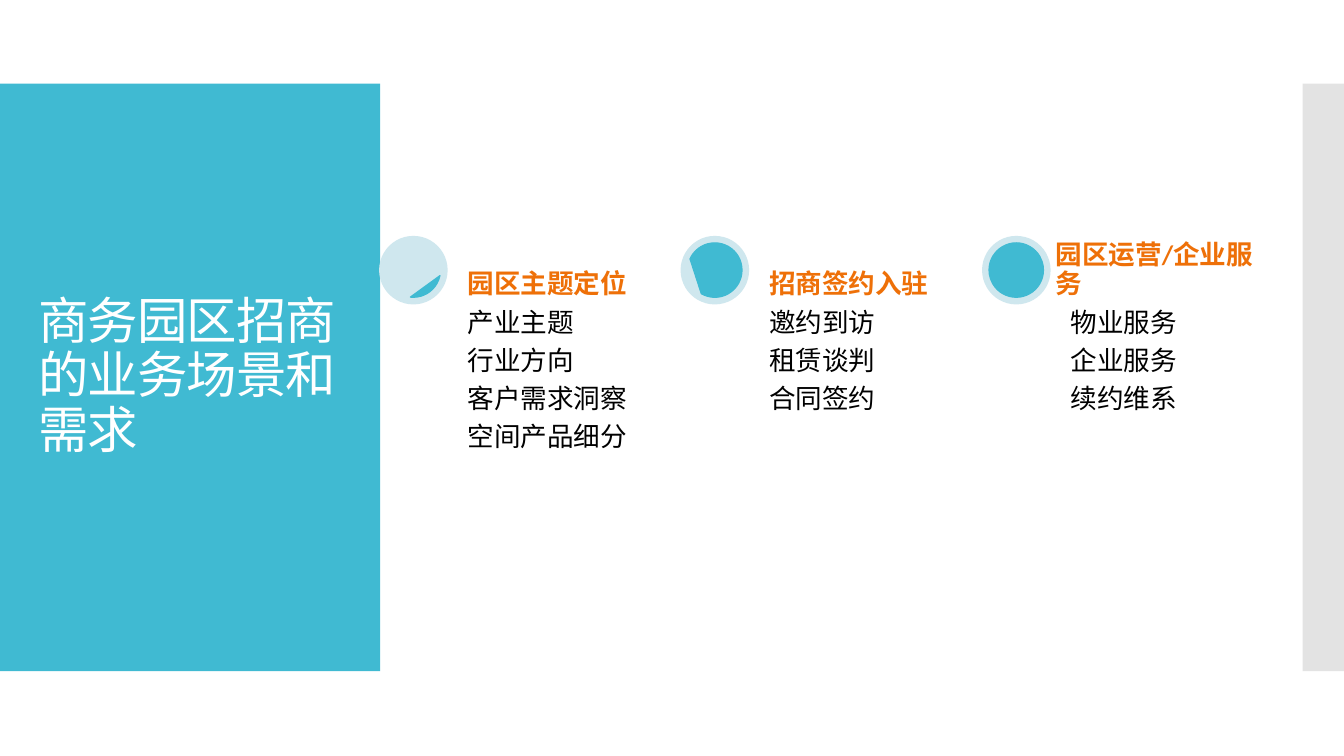
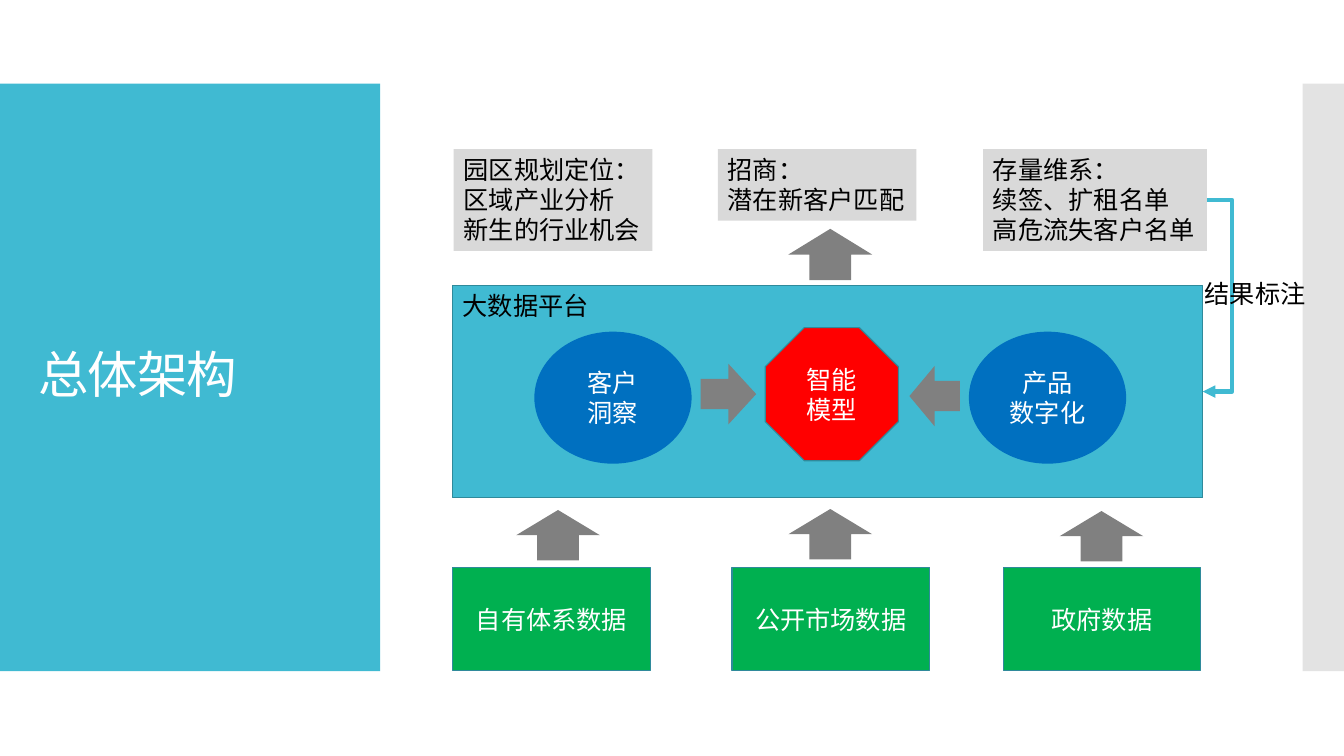
from lxml import etree
from pptx import Presentation
from pptx import util as u
from pptx.dml.color import RGBColor
from pptx.enum import shapes, text
from pptx.oxml.ns import qn

Inches, Pt = u.Inches, u.Pt
SHAPE = shapes.MSO_SHAPE
ANCHOR = text.MSO_ANCHOR
ALIGN = text.PP_ALIGN

COLORS = {
    "teal": "40BAD2", "edge": "2F8A9B", "band": "C8C8C8", "pale": "CFE7EE",
    "orange": "EE7008", "blue": "0070C0", "green": "00B050", "red": "FF0000",
    "arrow": "808080", "panel": "D9D9D9", "white": "FFFFFF", "black": "000000",
}
FONT = "Calibri"

SCENE_TITLE = "商务园区招商的业务场景和需求"
STAGES = [
    {"heading": "园区主题定位", "chord": (11.68, 96.32), "shift": 0.83, "width": 2.02,
     "items": ["产业主题", "行业方向", "客户需求洞察", "空间产品细分"]},
    {"heading": "招商签约入驻", "chord": (204.32, 119.68), "shift": 0.83, "width": 2.02,
     "items": ["邀约到访", "租赁谈判", "合同签约"]},
    {"heading": "园区运营/企业服务", "chord": (162, 162), "shift": 0.68, "width": 2.3,
     "items": ["物业服务", "企业服务", "续约维系"]},
]
STAGE_LEFT, STAGE_TOP, STAGE_PITCH = 3.76, 2.34, 2.99
DIAL, DIAL_MARGIN = 0.68, 0.07

ARCH_TITLE = "总体架构"
PLATFORM = (4.49, 2.83, 7.44, 2.11)
PLATFORM_LABEL = "大数据平台"
ENGINES = [(5.3, ["客户", "洞察"]), (9.61, ["产品", "数字化"])]
MODEL = "智能模型"
SOURCES = [(4.49, "自有体系数据"), (7.26, "公开市场数据"), (9.95, "政府数据")]
OUTCOMES = [
    (4.5, 1.97, 1.01, ["园区规划定位：", "区域产业分析", "新生的行业机会"]),
    (7.12, 1.97, 0.71, ["招商：", "潜在新客户匹配"]),
    (9.75, 2.22, 1.01, ["存量维系：", "续签、扩租名单", "高危流失客户名单"]),
]
ARROWS = [
    (SHAPE.UP_ARROW, (5.12, 5.06, 0.83, 0.5)),
    (SHAPE.UP_ARROW, (7.82, 5.05, 0.83, 0.5)),
    (SHAPE.UP_ARROW, (10.51, 5.07, 0.83, 0.5)),
    (SHAPE.UP_ARROW, (7.82, 2.27, 0.83, 0.51)),
    (SHAPE.LEFT_ARROW, (9.02, 3.63, 0.5, 0.6)),
    (SHAPE.RIGHT_ARROW, (6.95, 3.61, 0.55, 0.6)),
]
FEEDBACK_LABEL = "结果标注"
FEEDBACK_REACH = 0.25


def color(name):
    return RGBColor.from_string(COLORS[name])


def write(shape, lines, size=18, ink="black", bold=False, align=ALIGN.LEFT,
          anchor=ANCHOR.TOP, wrap=True, inset=None, spacing=None, after=None):
    frame = shape.text_frame
    frame.text = "\n".join(lines)
    frame.word_wrap = wrap
    frame.vertical_anchor = anchor
    if not wrap:
        frame.auto_size = text.MSO_AUTO_SIZE.SHAPE_TO_FIT_TEXT
    if inset is not None:
        frame.margin_left = frame.margin_right = Inches(inset)
        frame.margin_top = frame.margin_bottom = Inches(inset)
    for paragraph in frame.paragraphs:
        paragraph.alignment = align
        if spacing:
            paragraph.line_spacing = spacing
        if after:
            paragraph.space_after = Pt(after)
        for run in paragraph.runs:
            run.font.name = FONT
            run.font.size = Pt(size)
            run.font.bold = bold
            run.font.color.rgb = color(ink)


def add_part(slide, kind, box, fill, line=None):
    part = slide.shapes.add_shape(kind, *map(Inches, box))
    part.shadow.inherit = False
    part.fill.solid()
    part.fill.fore_color.rgb = color(fill)
    if line:
        part.line.color.rgb = color(line)
        part.line.width = Pt(0.85)
    else:
        part.line.fill.background()
    return part


def add_label(slide, box, lines, **style):
    label = slide.shapes.add_textbox(*map(Inches, box))
    write(label, lines, **style)
    return label


def add_framed_slide(deck, title):
    slide = deck.slides.add_slide(deck.slide_layouts[6])
    add_part(slide, SHAPE.RECTANGLE, (0, 0.83, 3.77, 5.83), "teal")
    side_band = add_part(slide, SHAPE.RECTANGLE, (12.92, 0.83, 0.42, 5.83), "band")
    tint = side_band.fill._xPr.find(".//" + qn("a:srgbClr"))
    etree.SubElement(tint, qn("a:alpha"), val="50000")
    heading = add_label(slide, (0.28, 1.23, 3.22, 5.03), [title], size=36, ink="white",
                        anchor=ANCHOR.MIDDLE, spacing=0.9)
    for run in heading.text_frame.paragraphs[0].runs:
        run.font._element.set("spc", "-60")
    return slide


def add_stage(slide, index, stage):
    left = STAGE_LEFT + index * STAGE_PITCH
    add_part(slide, SHAPE.OVAL, (left, STAGE_TOP, DIAL, DIAL), "pale")
    level_size = DIAL - 2 * DIAL_MARGIN
    level = add_part(slide, SHAPE.CHORD,
                     (left + DIAL_MARGIN, STAGE_TOP + DIAL_MARGIN, level_size, level_size),
                     "teal", "teal")
    for position, degrees in enumerate(stage["chord"]):
        level.adjustments[position] = degrees * 0.6
    style = {"size": 19, "inset": 0.05, "spacing": 0.9, "after": 6.65}
    add_label(slide, (left + 0.83, STAGE_TOP + DIAL, 2.02, 2.88), stage["items"], **style)
    add_label(slide, (left + stage["shift"], STAGE_TOP, stage["width"], DIAL),
              [stage["heading"]], ink="orange", bold=True, anchor=ANCHOR.BOTTOM, **style)


def add_feedback(slide, origin, target):
    feedback = slide.shapes.add_connector(shapes.MSO_CONNECTOR.ELBOW, 0, 0, 0, 0)
    feedback.begin_connect(origin, 3)
    feedback.end_connect(target, 3)
    feedback.line.color.rgb = color("teal")
    feedback.line.width = Pt(3)
    properties = feedback._element.spPr
    etree.SubElement(feedback.line._get_or_add_ln(), qn("a:tailEnd"), type="triangle")
    etree.SubElement(properties, qn("a:effectLst"))
    geometry = properties.find(qn("a:prstGeom"))
    guides = geometry.find(qn("a:avLst"))
    if guides is None:
        guides = etree.SubElement(geometry, qn("a:avLst"))
    bend = -round(Inches(FEEDBACK_REACH) / feedback.width * 100000)
    etree.SubElement(guides, qn("a:gd"), name="adj1", fmla=f"val {bend}")


def build_scenes(deck):
    slide = add_framed_slide(deck, SCENE_TITLE)
    for index, stage in enumerate(STAGES):
        add_stage(slide, index, stage)


def build_architecture(deck):
    slide = add_framed_slide(deck, ARCH_TITLE)
    centered = {"ink": "white", "align": ALIGN.CENTER, "anchor": ANCHOR.MIDDLE}
    platform = add_part(slide, SHAPE.RECTANGLE, PLATFORM, "teal", "edge")
    for left, lines in ENGINES:
        engine = add_part(slide, SHAPE.OVAL, (left, 3.29, 1.56, 1.31), "blue")
        write(engine, lines, **centered)
    for left, name in SOURCES:
        source = add_part(slide, SHAPE.RECTANGLE, (left, 5.63, 1.96, 1.02), "green", "edge")
        write(source, [name], **centered)
    for kind, box in ARROWS:
        add_part(slide, kind, box, "arrow")
    model = add_part(slide, SHAPE.OCTAGON, (7.59, 3.25, 1.32, 1.32), "red", "edge")
    write(model, [MODEL], **centered)
    add_label(slide, (4.49, 2.83, 1.46, 0.4), [PLATFORM_LABEL], wrap=False)
    for left, width, height, lines in OUTCOMES:
        outcome = add_part(slide, SHAPE.RECTANGLE, (left, 1.48, width, height), "panel")
        write(outcome, lines, wrap=False)
    add_feedback(slide, outcome, platform)
    add_label(slide, (11.85, 2.71, 1.21, 0.4), [FEEDBACK_LABEL], wrap=False)


def main():
    deck = Presentation()
    deck.slide_width, deck.slide_height = Inches(13.33), Inches(7.5)
    build_scenes(deck)
    build_architecture(deck)
    deck.save("out.pptx")


if __name__ == "__main__":
    main()
